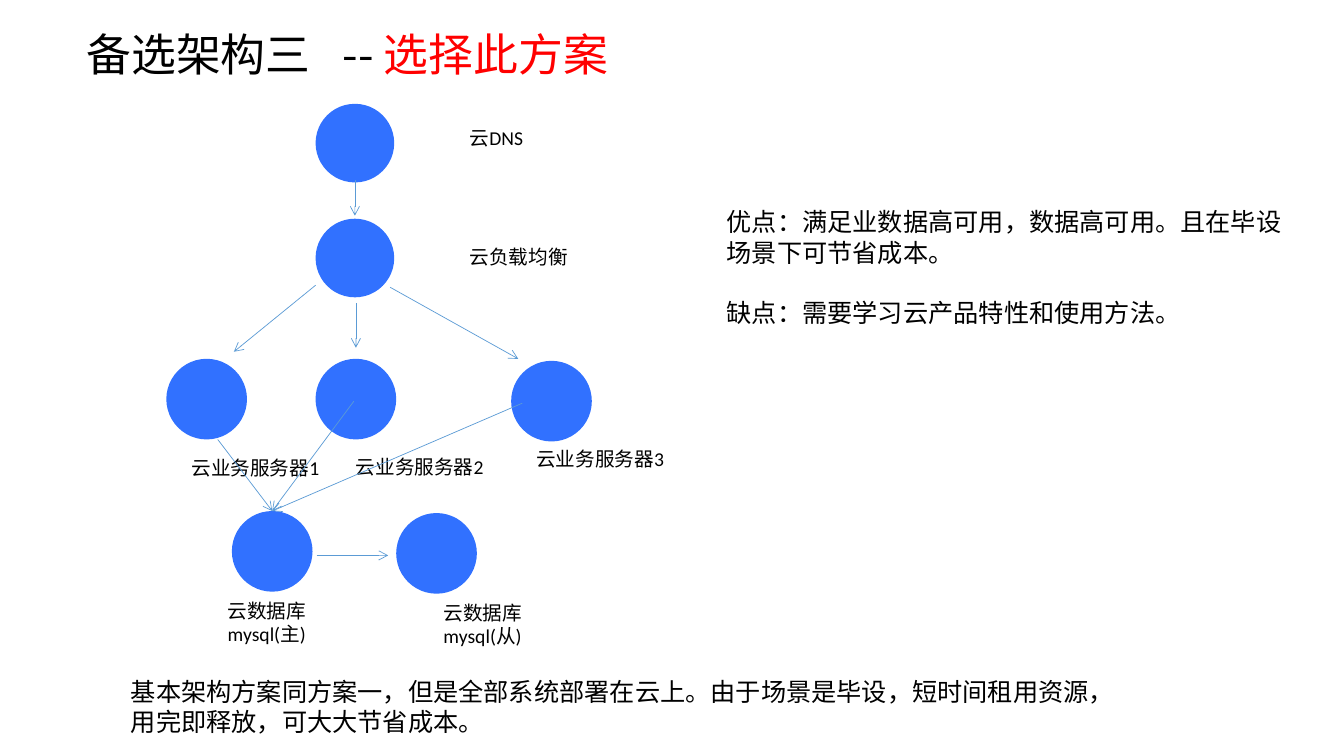
from typing import NamedTuple

import pptx
import pptx.dml.color
import pptx.enum.shapes
import pptx.enum.text
import pptx.oxml.xmlchemy
import pptx.slide
import pptx.text.text
import pptx.util

Inches = pptx.util.Inches
Pt = pptx.util.Pt
Element = pptx.oxml.xmlchemy.OxmlElement
BLUE, EDGE, BLACK, RED = "3171FF", "5B9BD5", "000000", "FF0000"
SANS, LATIN = "Noto Sans CJK SC", "Calibri"


class Node(NamedTuple):
    left: float
    top: float
    size: float = 0.8


class Label(NamedTuple):
    text: str
    left: float
    top: float
    width: float
    height: float = 0.34
    size: int = 14
    font: str = LATIN


class Arrow(NamedTuple):
    start: tuple[float, float]
    end: tuple[float, float]


HUB = (2.7, 5.07)
NODES = [
    Node(3.13, 1.03, 0.78),
    Node(3.13, 2.17, 0.78),
    Node(1.65, 3.56),
    Node(3.13, 3.56),
    Node(5.07, 3.58),
    Node(2.3, 5.07),
    Node(3.93, 5.09),
]
LABELS = [
    Label("云DNS", 4.56, 1.2, 1.1),
    Label("云负载均衡", 4.56, 2.38, 1.3),
    Label("云业务服务器1", 1.8, 4.47, 1.49),
    Label("云业务服务器2", 3.43, 4.46, 1.49),
    Label("云业务服务器3", 5.22, 4.38, 1.49),
    Label("云数据库mysql(主)", 2.16, 5.89, 1.12, 0.57),
    Label("云数据库mysql(从)", 4.3, 5.91, 1.12, 0.57),
    Label(
        "基本架构方案同方案一，但是全部系统部署在云上。由于场景是毕设，"
        "短时间租用资源，用完即释放，可大大节省成本。",
        1.2, 6.66, 9.84, 0.71, 18, SANS,
    ),
    Label(
        "优点：满足业数据高可用，数据高可用。且在毕设场景下可节省成本。\n"
        "缺点：需要学习云产品特性和使用方法。",
        7.11, 2, 5.8, 1.31, 18, SANS,
    ),
]
ARROWS = [
    Arrow((3.52, 1.79), (3.52, 2.14)),
    Arrow((3.13, 2.83), (2.32, 3.49)),
    Arrow((3.53, 3.01), (3.53, 3.45)),
    Arrow((3.87, 2.85), (5.14, 3.56)),
    Arrow((2.16, 4.36), HUB),
    Arrow((3.51, 3.98), HUB),
    Arrow((5.18, 4), HUB),
    Arrow((3.14, 5.51), (3.85, 5.51)),
]


def color(value: str) -> pptx.dml.color.RGBColor:
    return pptx.dml.color.RGBColor.from_string(value)


def style(font: pptx.text.text.Font, name: str, size: int, tint: str = BLACK) -> None:
    font.name = name
    font.size = Pt(size)
    font.color.rgb = color(tint)


def add_node(slide: pptx.slide.Slide, node: Node) -> None:
    oval = slide.shapes.add_shape(
        pptx.enum.shapes.MSO_SHAPE.OVAL,
        Inches(node.left), Inches(node.top), Inches(node.size), Inches(node.size),
    )
    oval.shadow.inherit = False
    oval.fill.solid()
    oval.fill.fore_color.rgb = color(BLUE)
    oval.line.fill.background()


def add_label(slide: pptx.slide.Slide, label: Label) -> None:
    box = slide.shapes.add_textbox(
        Inches(label.left), Inches(label.top), Inches(label.width), Inches(label.height)
    )
    frame = box.text_frame
    frame.word_wrap = True
    frame.text = label.text
    for index, para in enumerate(frame.paragraphs):
        style(para.font, label.font, label.size)
        if index:
            para.space_before = Pt(21.6)


def add_arrow(slide: pptx.slide.Slide, arrow: Arrow) -> None:
    link = slide.shapes.add_connector(
        pptx.enum.shapes.MSO_CONNECTOR.STRAIGHT,
        *map(Inches, arrow.start + arrow.end),
    )
    link.line.color.rgb = color(EDGE)
    link.line.width = Pt(0.5)
    tail = Element("a:tailEnd")
    tail.set("type", "arrow")
    props = link._element.spPr
    props.ln.append(tail)
    props.append(Element("a:effectLst"))


def add_title(slide: pptx.slide.Slide) -> None:
    box = slide.shapes.add_textbox(
        Inches(0.76), Inches(0.28), Inches(11.82), Inches(0.58)
    )
    frame = box.text_frame
    frame.word_wrap = True
    frame.vertical_anchor = pptx.enum.text.MSO_ANCHOR.MIDDLE
    para = frame.paragraphs[0]
    para.line_spacing = 0.9
    tabs = Element("a:tabLst")
    stop = Element("a:tab")
    stop.set("pos", str(Inches(2.54)))
    stop.set("algn", "l")
    tabs.append(stop)
    para._p.get_or_add_pPr().append(tabs)
    for text, tint in (("备选架构三\t-- ", BLACK), ("选择此方案", RED)):
        run = para.add_run()
        run.text = text
        style(run.font, SANS, 32, tint)


def main() -> None:
    deck = pptx.Presentation()
    deck.slide_width = Inches(13.33)
    deck.slide_height = Inches(7.5)
    slide = deck.slides.add_slide(deck.slide_layouts[6])
    add_title(slide)
    for node in NODES:
        add_node(slide, node)
    for label in LABELS:
        add_label(slide, label)
    for arrow in ARROWS:
        add_arrow(slide, arrow)
    deck.save("out.pptx")


if __name__ == "__main__":
    main()
